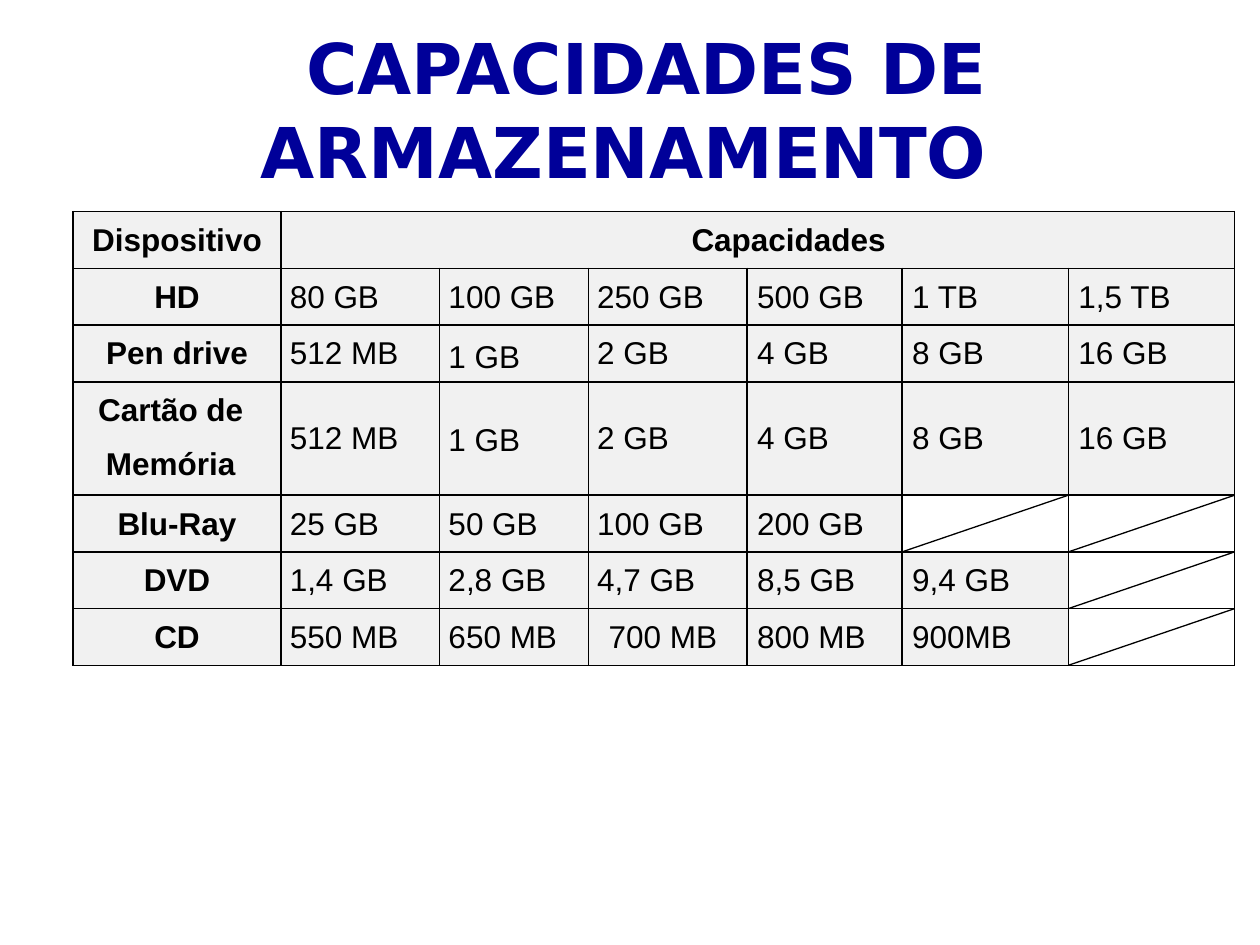
import pptx
import pptx.dml.color
import pptx.enum.text
import pptx.oxml
import pptx.oxml.ns
import pptx.util

Inches = pptx.util.Inches
Pt = pptx.util.Pt
ALIGN = pptx.enum.text.PP_ALIGN
ANCHOR = pptx.enum.text.MSO_ANCHOR

NAVY = pptx.dml.color.RGBColor(0x00, 0x00, 0x99)
BLACK = pptx.dml.color.RGBColor(0x00, 0x00, 0x00)
LIGHT_GRAY = pptx.dml.color.RGBColor(0xF1, 0xF1, 0xF1)

TITLE_FONT = {"name": "DejaVu Sans", "size": Pt(40), "bold": True}
DEVICE_FONT = {"name": "Arial", "size": Pt(18), "bold": True}
CAPACITY_FONT = {**DEVICE_FONT, "bold": False}

TABLE_LEFT, TABLE_TOP = 0.58, 1.68
COLUMN_WIDTHS = [1.65, 1.26, 1.18, 1.26, 1.23, 1.32, 1.32]
ROW_HEIGHT = 0.45
CARD_ROW = 3

DEVICES = [
    ("HD", ["80 GB", "100 GB", "250 GB", "500 GB", "1 TB", "1,5 TB"]),
    ("Pen drive", ["512 MB", "1 GB", "2 GB", "4 GB", "8 GB", "16 GB"]),
    ("Cartão de\nMemória", ["512 MB", "1 GB", "2 GB", "4 GB", "8 GB", "16 GB"]),
    ("Blu-Ray", ["25 GB", "50 GB", "100 GB", "200 GB"]),
    ("DVD", ["1,4 GB", "2,8 GB", "4,7 GB", "8,5 GB", "9,4 GB"]),
    ("CD", ["550 MB", "650 MB", "700 MB", "800 MB", "900MB"]),
]

CELL_MARGINS = {"left": 0, "top": 0.09, "right": 0, "bottom": 0}
SPECIAL_MARGINS = {
    (0, 1): {"left": 0.49},
    (2, 2): {"top": 0.12},
    (3, 0): {"right": 0.1},
    (3, 2): {"top": 0.33},
    (6, 3): {"left": 0.16},
}


def apply_format(target, values):
    for name, value in values.items():
        setattr(target, name, value)


def write_text(frame, text, font, color, alignment, space_before=0):
    frame.text = text
    for index, paragraph in enumerate(frame.paragraphs):
        paragraph.alignment = alignment
        if index:
            paragraph.space_before = Pt(space_before)
        apply_format(paragraph.font, font)
        paragraph.font.color.rgb = color


def add_title(slide):
    title = slide.shapes.add_textbox(
        Inches(-0.42), Inches(0.17), Inches(8.25), Inches(1.36))
    frame = title.text_frame
    apply_format(frame, {
        "word_wrap": True, "vertical_anchor": ANCHOR.BOTTOM,
        "margin_left": 0, "margin_top": Inches(0.01),
        "margin_right": 0, "margin_bottom": 0})
    write_text(frame, "CAPACIDADES DE ARMAZENAMENTO", TITLE_FONT, NAVY, ALIGN.RIGHT)


def add_borders(cell):
    properties = cell._tc.get_or_add_tcPr()
    for side in ("lnL", "lnR", "lnT", "lnB"):
        properties.append(pptx.oxml.parse_xml(
            f'<a:{side} {pptx.oxml.ns.nsdecls("a")} w="{Pt(1)}"><a:solidFill>'
            f'<a:srgbClr val="{BLACK}"/></a:solidFill></a:{side}>'))


def fill_cell(table, row, column, text, font, alignment):
    cell = table.cell(row, column)
    margins = dict(CELL_MARGINS)
    if alignment == ALIGN.LEFT:
        margins["left"] = 0.07 if column < 4 else 0.08
        if row == CARD_ROW:
            margins["top"] = 0.31
    margins.update(SPECIAL_MARGINS.get((row, column), {}))
    apply_format(cell, {f"margin_{side}": Inches(size) for side, size in margins.items()})
    write_text(cell.text_frame, text, font, BLACK, alignment, space_before=10.8)
    cell.fill.solid()
    cell.fill.fore_color.rgb = LIGHT_GRAY


def add_capacity_table(slide, row_heights):
    table = slide.shapes.add_table(
        len(row_heights), len(COLUMN_WIDTHS), Inches(TABLE_LEFT), Inches(TABLE_TOP),
        Inches(sum(COLUMN_WIDTHS)), Inches(sum(row_heights))).table
    apply_format(table, {"first_row": False, "horz_banding": False})
    for column, width in zip(table.columns, COLUMN_WIDTHS):
        column.width = Inches(width)
    for row, height in zip(table.rows, row_heights):
        row.height = Inches(height)
    for cell in table.iter_cells():
        add_borders(cell)
        cell.fill.background()
    table.cell(0, 1).merge(table.cell(0, len(COLUMN_WIDTHS) - 1))
    fill_cell(table, 0, 0, "Dispositivo", DEVICE_FONT, ALIGN.CENTER)
    fill_cell(table, 0, 1, "Capacidades", DEVICE_FONT, ALIGN.CENTER)
    for row, (device, capacities) in enumerate(DEVICES, start=1):
        fill_cell(table, row, 0, device, DEVICE_FONT, ALIGN.CENTER)
        for column, capacity in enumerate(capacities, start=1):
            fill_cell(table, row, column, capacity, CAPACITY_FONT, ALIGN.LEFT)


def add_empty_cell_strokes(slide, row_heights):
    strokes = []
    for row, (_, capacities) in enumerate(DEVICES, start=1):
        top = TABLE_TOP + sum(row_heights[:row])
        for column in range(len(capacities) + 1, len(COLUMN_WIDTHS)):
            left = TABLE_LEFT + sum(COLUMN_WIDTHS[:column])
            strokes.append((
                (Inches(left), Inches(top + row_heights[row])),
                (Inches(left + COLUMN_WIDTHS[column]), Inches(top))))
    builder = slide.shapes.build_freeform(*strokes[0][0])
    for index, (start, end) in enumerate(strokes):
        if index:
            builder.move_to(*start)
        builder.add_line_segments([end], close=False)
    diagonals = builder.convert_to_shape()
    diagonals.shadow.inherit = False
    diagonals.fill.background()
    diagonals.line.color.rgb = BLACK
    diagonals.line.width = Pt(0.75)


def main():
    presentation = pptx.Presentation()
    apply_format(presentation, {"slide_width": Inches(10), "slide_height": Inches(7.5)})
    slide = presentation.slides.add_slide(presentation.slide_layouts[6])
    row_heights = [ROW_HEIGHT] * (len(DEVICES) + 1)
    row_heights[CARD_ROW] = 2 * ROW_HEIGHT
    add_title(slide)
    add_capacity_table(slide, row_heights)
    add_empty_cell_strokes(slide, row_heights)
    presentation.save("out.pptx")


if __name__ == "__main__":
    main()
